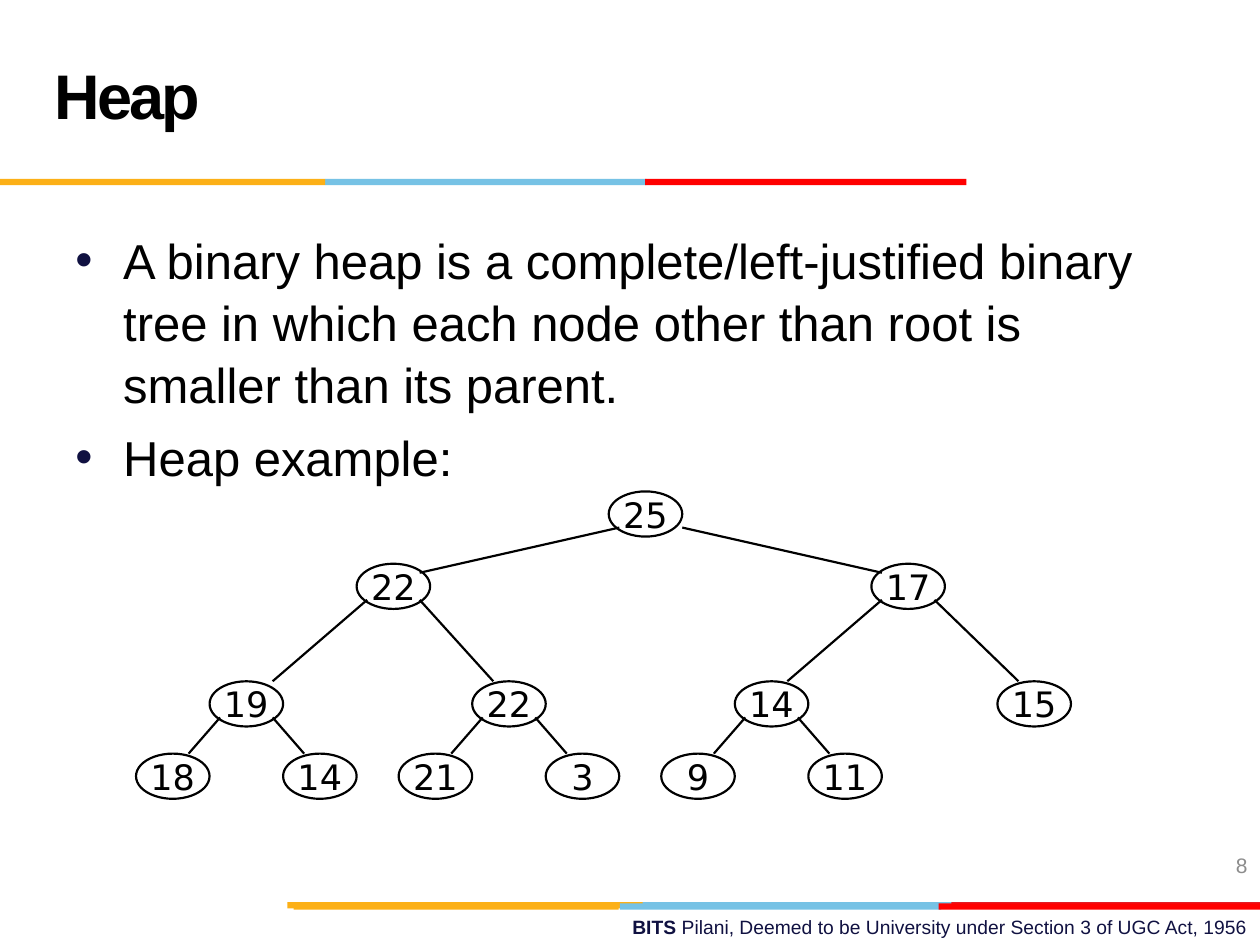
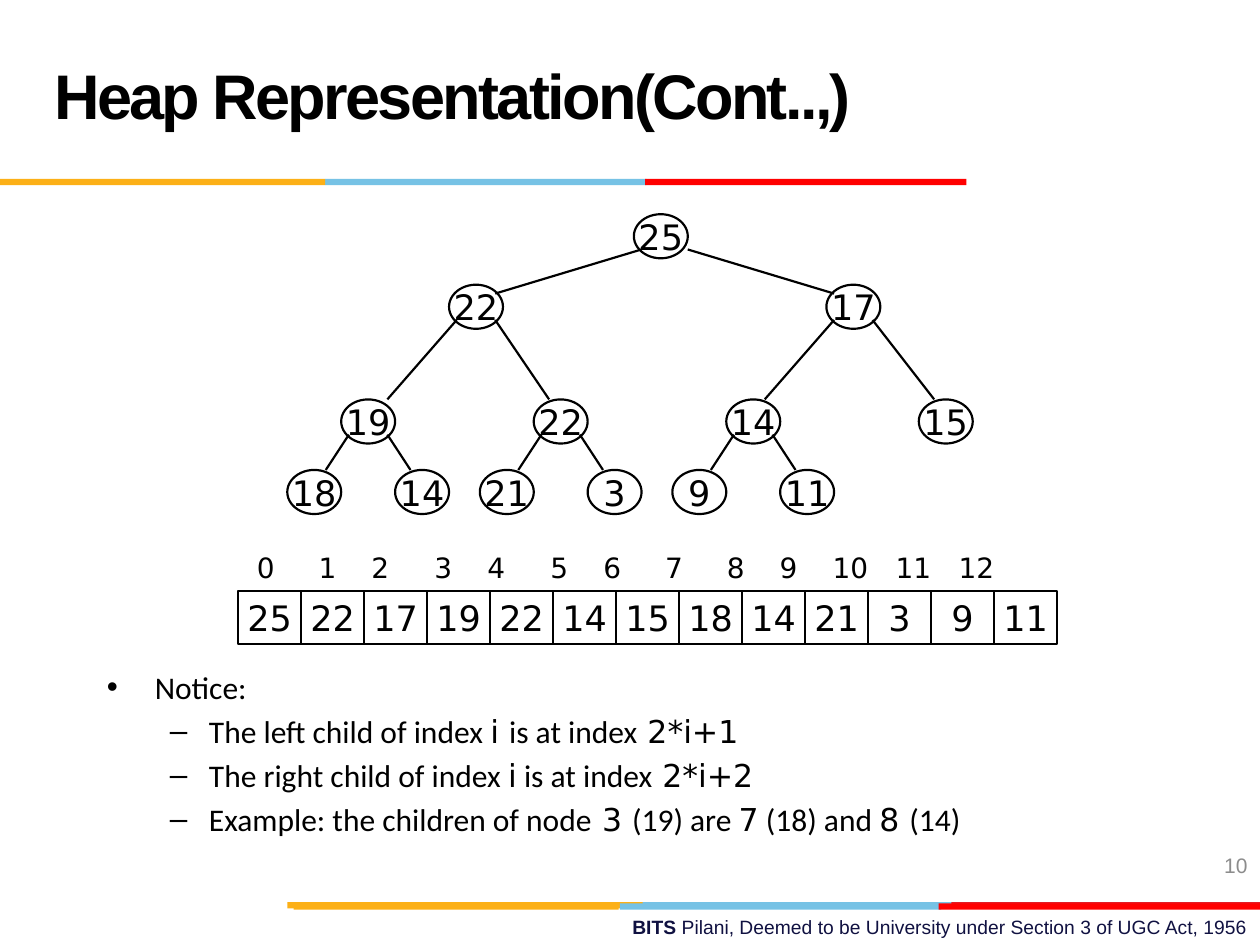
from lxml import etree
from pptx import Presentation
from pptx import util as u
from pptx.dml.color import RGBColor
from pptx.enum import shapes, text
from pptx.oxml.ns import qn

Inches, Pt = u.Inches, u.Pt
COLOURS = {
    "black": "000000", "navy": "101141", "grey": "8C8C8C", "gold": "FCB017",
    "sky": "76C2E5", "crimson": "E31C24", "red": "FF0000",
}
SANS, BODY, MONO = "Arial", "Calibri", "DejaVu Sans"

BARS = [
    (5.06, 7.16, 2.55, "sky"), (7.55, 7.16, 2.45, "crimson"), (2.28, 7.16, 2.82, "gold"),
    (4.92, 7.17, 2.55, "sky"), (2.33, 7.17, 2.58, "gold"), (7.45, 7.17, 2.55, "red"),
    (2.58, 1.42, 2.55, "sky"), (0, 1.42, 2.58, "gold"), (5.12, 1.42, 2.55, "red"),
]
HEAP = [25, 22, 17, 19, 22, 14, 15, 18, 14, 21, 3, 9, 11]
NODE_COLUMNS = [45, 21, 70, 7, 32, 57, 82, 0, 14, 25, 39, 50, 64]
LEVEL_ROWS = [0, 8, 21, 29]
EDGE_EXITS = [1, 7] + [1, 6] * 5
EDGE_ENTRIES = [6, 1, 6, 2, 5, 2] + [5, 2] * 3
TREE_COLUMNS, TREE_ROWS = 89, 34
NODE_COLUMN_SPAN, NODE_ROW_SPAN = 7, 5
INDEX_STOPS = [0.21, 0.7, 1.12, 1.62, 2.04, 2.54, 2.96, 3.45, 3.94, 4.36, 4.85, 5.35, 5.85]


def style(para, size, fonts, colour="black"):
    for place, span in enumerate(para.runs):
        span.font.size = Pt(size)
        span.font.name = fonts[place % len(fonts)]
        span.font.color.rgb = RGBColor.from_string(COLOURS[colour])


def add_value(page, kind, left, top, width, height, value):
    box = page.shapes.add_shape(kind, Inches(left), Inches(top), Inches(width), Inches(height))
    box.shadow.inherit = False
    box.fill.background()
    box.line.color.rgb = RGBColor.from_string(COLOURS["black"])
    box.line.width = Pt(1.25)
    frame = box.text_frame
    frame.text = str(value)
    frame.word_wrap = False
    frame.vertical_anchor = text.MSO_ANCHOR.MIDDLE
    frame.paragraphs[0].alignment = text.PP_ALIGN.CENTER
    style(frame.paragraphs[0], 20, [MONO])


deck = Presentation()
deck.slide_width, deck.slide_height = Inches(10), Inches(7.5)

pages = []
for heading, number, tree in [
    ("Heap", "8", (1.08, 3.9, 7.42, 2.44)),
    ("Heap Representation(Cont..,)", "10", (2.28, 1.7, 5.44, 2.38)),
]:
    page = deck.slides.add_slide(deck.slide_layouts[5])
    pages.append(page)

    for left, top, width, colour in BARS:
        bar = page.shapes.add_shape(
            shapes.MSO_SHAPE.RECTANGLE, Inches(left), Inches(top), Inches(width), Inches(0.05))
        bar.shadow.inherit = False
        bar.fill.solid()
        bar.fill.fore_color.rgb = RGBColor.from_string(COLOURS[colour])
        bar.line.fill.background()

    title = page.shapes.title
    title.left, title.top, title.width, title.height = map(Inches, (0.33, 0.17, 6.92, 1.25))
    title.text_frame.text = heading
    title.text_frame.word_wrap = True
    title.text_frame.auto_size = text.MSO_AUTO_SIZE.NONE
    title.text_frame.vertical_anchor = text.MSO_ANCHOR.MIDDLE
    para = title.text_frame.paragraphs[0]
    para.alignment = text.PP_ALIGN.LEFT
    para.line_spacing = Pt(36)
    style(para, 36, [SANS])
    para.runs[0].font.bold = True
    para.runs[0].font._element.set("spc", "-150")

    for at, pieces, size, colour in [
        ((3.58, 7.21, 6.42, 0.29),
         ["BITS ", "Pilani, Deemed to be University under Section 3 of UGC Act, 1956"], 11, "navy"),
        ((7.67, 6.67, 2.33, 0.4), [number], 12, "grey"),
    ]:
        box = page.shapes.add_textbox(*map(Inches, at))
        box.text_frame.word_wrap = True
        box.text_frame.vertical_anchor = text.MSO_ANCHOR.MIDDLE
        para = box.text_frame.paragraphs[0]
        para.alignment = text.PP_ALIGN.RIGHT
        for piece in pieces:
            para.add_run().text = piece
        style(para, size, [SANS], colour)
        para.runs[0].font.bold = len(pieces) > 1

    tree_left, tree_top, tree_width, tree_height = tree
    column, row = tree_width / TREE_COLUMNS, tree_height / TREE_ROWS
    corners = []
    for index, value in enumerate(HEAP):
        level = (index + 1).bit_length() - 1
        left = tree_left + NODE_COLUMNS[index] * column
        top = tree_top + LEVEL_ROWS[level] * row
        corners.append((left, top))
        add_value(page, shapes.MSO_SHAPE.OVAL, left, top,
                  NODE_COLUMN_SPAN * column, NODE_ROW_SPAN * row, value)
        if index:
            parent_left, parent_top = corners[(index - 1) // 2]
            edge = page.shapes.add_connector(
                shapes.MSO_CONNECTOR.STRAIGHT,
                Inches(parent_left + EDGE_EXITS[index - 1] * column),
                Inches(parent_top + 4 * row),
                Inches(left + EDGE_ENTRIES[index - 1] * column),
                Inches(top + (row if level == 1 else 0)))
            edge.line.color.rgb = RGBColor.from_string(COLOURS["black"])
            edge.line.width = Pt(1.25)
            etree.SubElement(edge._element.spPr, qn("a:effectLst"))

heap_page, array_page = pages

for index, value in enumerate(HEAP):
    add_value(array_page, shapes.MSO_SHAPE.RECTANGLE, 1.89 + 0.5 * index, 4.69, 0.5, 0.42, value)

box = array_page.shapes.add_textbox(Inches(1.8), Inches(4.32), Inches(6.92), Inches(0.37))
box.text_frame.word_wrap = True
para = box.text_frame.paragraphs[0]
para.text = "".join(f"\t{index}" for index in range(len(HEAP)))
stops = etree.SubElement(para._p.get_or_add_pPr(), qn("a:tabLst"))
for stop in INDEX_STOPS:
    etree.SubElement(stops, qn("a:tab"), pos=str(Inches(stop)), algn="ctr")
style(para, 16, [MONO])

for page, at, size, fonts, spacing, bullet_colour, items in [
    (heap_page, (0.5, 1.75, 9, 2.1), 28, [SANS], 1.06, "navy", [
        (0, ["A binary heap is a complete/left-justified binary tree in which each node "
             "other than root is smaller than its parent."]),
        (0, ["Heap example:"]),
    ]),
    (array_page, (0.75, 5.25, 8.42, 1.5), 18, [BODY, MONO], 1.0, "black", [
        (0, ["Notice:"]),
        (1, ["The left child of index ", "i ", "is at index", " 2*i+1"]),
        (1, ["The right child of index ", "i", " is at index", " 2*i+2"]),
        (1, ["Example: the children of node", " 3 ", "(19) are ", "7", " (18) and ", "8 ", "(14)"]),
    ]),
]:
    box = page.shapes.add_textbox(*map(Inches, at))
    frame = box.text_frame
    frame.word_wrap = True
    for place, (level, pieces) in enumerate(items):
        para = frame.add_paragraph() if place else frame.paragraphs[0]
        para.level = level
        para.line_spacing = spacing
        if place:
            para.space_before = Pt(size * 0.2)
        margin, indent, mark = [(0.38, -0.38, "•"), (0.81, -0.31, "–")][level]
        props = para._p.get_or_add_pPr()
        props.set("marL", str(Inches(margin)))
        props.set("indent", str(Inches(indent)))
        tint = etree.SubElement(props, qn("a:buClr"))
        etree.SubElement(tint, qn("a:srgbClr"), val=COLOURS[bullet_colour])
        etree.SubElement(props, qn("a:buFont"), typeface=SANS)
        etree.SubElement(props, qn("a:buChar"), char=mark)
        for piece in pieces:
            para.add_run().text = piece
        style(para, size, fonts)

deck.save("out.pptx")
